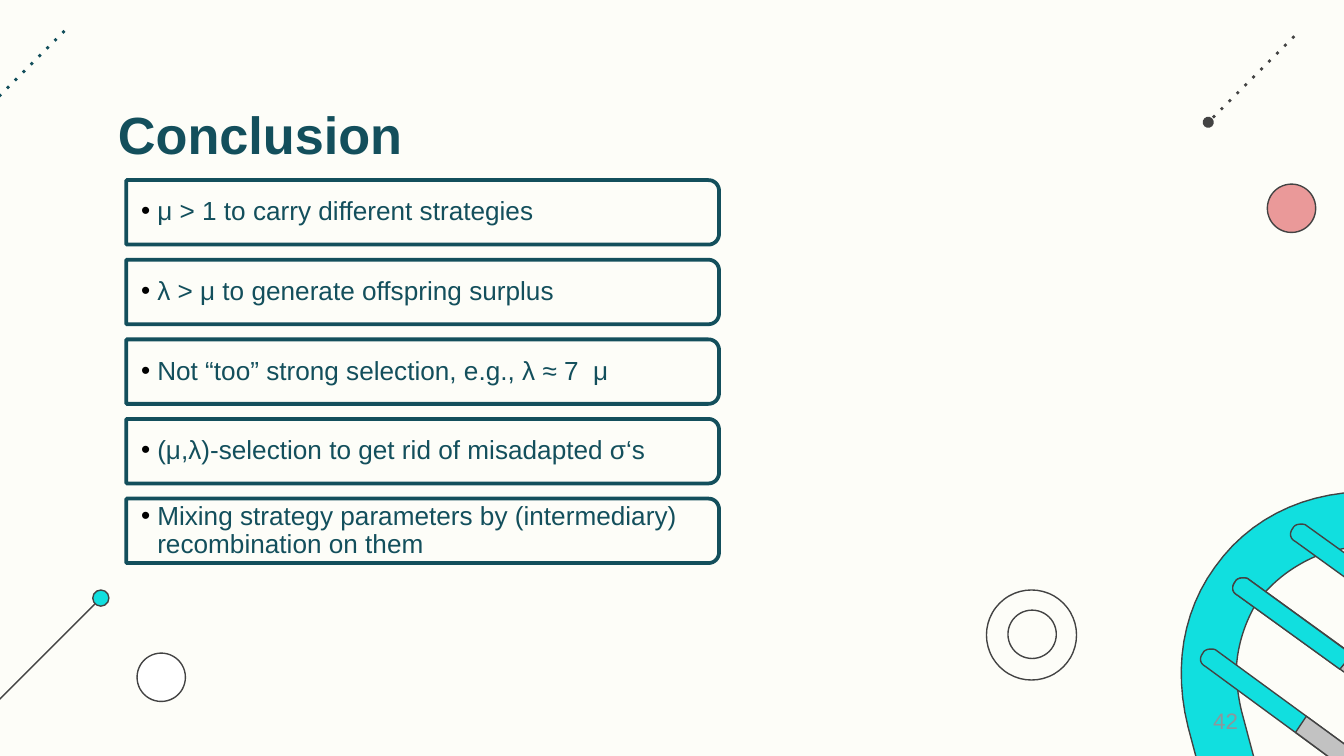
import lxml.etree as etree
import pptx
import pptx.util
from pptx.dml.color import RGBColor
from pptx.enum.shapes import MSO_CONNECTOR, MSO_SHAPE
from pptx.enum.text import MSO_ANCHOR, PP_ALIGN
from pptx.oxml.ns import qn
from pptx.util import Inches

HUES = {"paper": "FDFDF8", "ink": "134F5C", "edge": "434343", "cyan": "11DFDF",
        "pink": "EA9999", "gray": "C2C2C2", "white": "FFFFFF", "num": "8C979C",
        "black": "000000"}

POINTS = ["μ > 1 to carry different strategies",
          "λ > μ to generate offspring surplus",
          "Not “too” strong selection, e.g., λ ≈ 7  μ",
          "(μ,λ)-selection to get rid of misadapted σ‘s",
          "Mixing strategy parameters by (intermediary) recombination on them"]
FIRST, LAST = 1.34, 3.71  # tops of the outer bars

# Half of the strand: a step has one point (straight) or three (curve)
STRAND = [[(10.55, 3.63)], [(10.11, 3.66)],
          [(9.66, 3.68), (9.28, 3.88), (9.04, 4.22)],
          [(8.8, 4.55), (8.73, 4.97), (8.84, 5.41)],
          [(9.2, 6.76)],
          [(9.23, 6.88), (9.24, 6.99), (9.24, 7.1)],
          [(9.23, 7.26), (9.18, 7.41), (9.11, 7.54)],
          [(9.08, 7.58), (9.05, 7.62), (9.02, 7.66)],
          [(8.92, 7.77), (8.79, 7.86), (8.65, 7.92)],
          [(8.54, 7.96), (8.42, 7.99), (8.31, 7.99)],
          [(7.78, 8.02)]]
MID = (9.22, 6.03)


def color(name):
    return RGBColor.from_string(HUES[name])


def style(shape, fill, edge="edge", width=0.75):
    shape.shadow.inherit = False
    if fill:
        shape.fill.solid()
        shape.fill.fore_color.rgb = color(fill)
    else:
        shape.fill.background()
    shape.line.color.rgb = color(edge)
    shape.line.width = pptx.util.Pt(width)


def trace(steps, count=12):
    """Turn straight and curved steps into a list of points."""
    spots = []
    for step in steps:
        if len(step) == 1:
            spots += step
            continue
        knots = [spots[-1], *step]
        for i in range(1, count + 1):
            t = i / count
            parts = ((1 - t) ** 3, 3 * t * (1 - t) ** 2, 3 * t * t * (1 - t), t ** 3)
            spots.append(tuple(sum(w * k[axis] for w, k in zip(parts, knots))
                               for axis in (0, 1)))
    return spots


def add_form(slide, steps, fill, **look):
    spots = [(Inches(x), Inches(y)) for x, y in trace(steps)]
    form = slide.shapes.build_freeform(*spots[0])
    form.add_line_segments(spots[1:], close=True)
    shape = form.convert_to_shape()
    style(shape, fill, **look)
    return shape


def add_disc(slide, x, y, size, fill=None):
    box = (Inches(v) for v in (x, y, size, size))
    style(slide.shapes.add_shape(MSO_SHAPE.OVAL, *box), fill)


def add_line(slide, start, end, hue="edge", width=1.5, dots=True, tail=None):
    line = slide.shapes.add_connector(
        MSO_CONNECTOR.STRAIGHT, *(Inches(v) for v in start + end))
    line.line.color.rgb = color(hue)
    line.line.width = pptx.util.Pt(width)
    pen = line.line._get_or_add_ln()
    if dots:
        etree.SubElement(pen, qn("a:prstDash"), val="dot")
    if tail:
        etree.SubElement(pen, qn("a:tailEnd"), type=tail)
    etree.SubElement(line._element.spPr, qn("a:effectLst"))


def write(shape, text, size, hue, frame, para, bold=False, bullet=False):
    body = shape.text_frame
    for key, value in {"word_wrap": True, **frame}.items():
        setattr(body, key, value)
    line = body.paragraphs[0]
    line.text = text
    if bullet:
        props = line._p.get_or_add_pPr()
        props.set("marL", str(Inches(0.12)))
        props.set("indent", str(Inches(-0.12)))
        tint = etree.SubElement(props, qn("a:buClr"))
        etree.SubElement(tint, qn("a:srgbClr"), val=HUES["black"])
        etree.SubElement(props, qn("a:buFont"), typeface="Arial")
        etree.SubElement(props, qn("a:buChar"), char="•")
    for key, value in para.items():
        setattr(line, key, value)
    font = line.runs[0].font
    for key, value in {"name": "Arial", "size": pptx.util.Pt(size), "bold": bold}.items():
        setattr(font, key, value)
    font.color.rgb = color(hue)


def add_text(slide, box, *args, **look):
    write(slide.shapes.add_textbox(*(Inches(v) for v in box)), *args, **look)


def add_bar(slide, top, text):
    left, right, low, bend = 0.94, 5.35, top + 0.48, 0.08
    steps = [[(right, top + bend)], [(right, low - bend)],
             [(right, low - 0.04), (right - 0.03, low), (right - bend, low)],
             [(left, low)], [(left, top)], [(right - bend, top)],
             [(right - 0.03, top), (right, top + 0.04), (right, top + bend)]]
    bar = add_form(slide, steps, "paper", edge="ink", width=2)
    frame = {"vertical_anchor": MSO_ANCHOR.MIDDLE, "margin_left": Inches(0.11)}
    frame |= {f"margin_{side}": Inches(0.03) for side in ("top", "right", "bottom")}
    para = {"level": 1, "alignment": PP_ALIGN.LEFT, "line_spacing": 0.9}
    write(bar, text, 14, "ink", frame, para, bullet=True)


def add_rung(slide, x, y, low, high, fill):
    """Draw a rung with a round cap at x, y and a straight far end."""
    cap = [[(0, 0)], [(-0.03, 0), (-0.05, 0.01), (-0.06, 0.03)],
           [(-0.09, 0.07), (-0.08, 0.11), (-0.04, 0.13)]]
    steps = [[(x + dx, y + dy) for dx, dy in step] for step in cap]
    steps += [[low], [high], [(x + 0.04, y + 0.01)],
              [(x + 0.03, y), (x + 0.01, y), (x, y)]]
    add_form(slide, steps, fill)


def add_helix(slide):
    # The second half is the first one turned about the middle
    turn = [[(2 * MID[0] - x, 2 * MID[1] - y) for x, y in step] for step in STRAND]
    add_form(slide, STRAND + turn, "cyan")
    add_rung(slide, 9.25, 4.3, (10.61, 5.44), (10.7, 5.33), "gray")
    add_rung(slide, 9.25, 4.3, (9.97, 4.98), (10.06, 4.87), "cyan")
    add_rung(slide, 9.68, 3.9, (10.83, 4.89), (10.82, 4.7), "cyan")
    add_rung(slide, 9.01, 4.83, (10.06, 5.76), (10.24, 5.71), "cyan")
    add_form(slide, [[(9.72, 5.33)], [(9.64, 5.45)], [(10.06, 5.76)],
                     [(10.24, 5.71)]], "gray")


def main():
    deck = pptx.Presentation()
    deck.slide_width = Inches(10)
    deck.slide_height = Inches(10 * 9 / 16)
    slide = deck.slides.add_slide(deck.slide_layouts[6])
    slide.background.fill.solid()
    slide.background.fill.fore_color.rgb = color("paper")

    # Lines and discs
    add_disc(slide, 0.69, 4.39, 0.12, "cyan")
    add_line(slide, (0.71, 4.49), (-0.21, 5.41), width=0.75, dots=False)
    add_line(slide, (9.63, 0.27), (8.99, 0.91), tail="oval")
    add_disc(slide, 1.02, 4.86, 0.36, "white")
    add_line(slide, (0.48, 0.23), (-0.16, 0.87), hue="ink")
    add_disc(slide, 9.43, 1.37, 0.36, "pink")

    # Title
    sides = ("left", "top", "right", "bottom")
    add_text(slide, (0.78, 0.59, 8.44, 0.66), "Conclusion", 28, "ink",
             {f"margin_{side}": Inches(0.1) for side in sides},
             {"line_spacing": 1.15}, bold=True)

    # Helix and rings
    add_helix(slide)
    add_disc(slide, 7.34, 4.39, 0.67)
    add_disc(slide, 7.5, 4.54, 0.36)

    # Points
    step = (LAST - FIRST) / (len(POINTS) - 1)
    for i, text in enumerate(POINTS):
        add_bar(slide, FIRST + step * i, text)

    # Page number
    add_text(slide, (7.06, 5.21, 2.25, 0.3), "42", 12, "num",
             {"vertical_anchor": MSO_ANCHOR.MIDDLE}, {"alignment": PP_ALIGN.RIGHT})

    deck.save("out.pptx")


if __name__ == "__main__":
    main()
